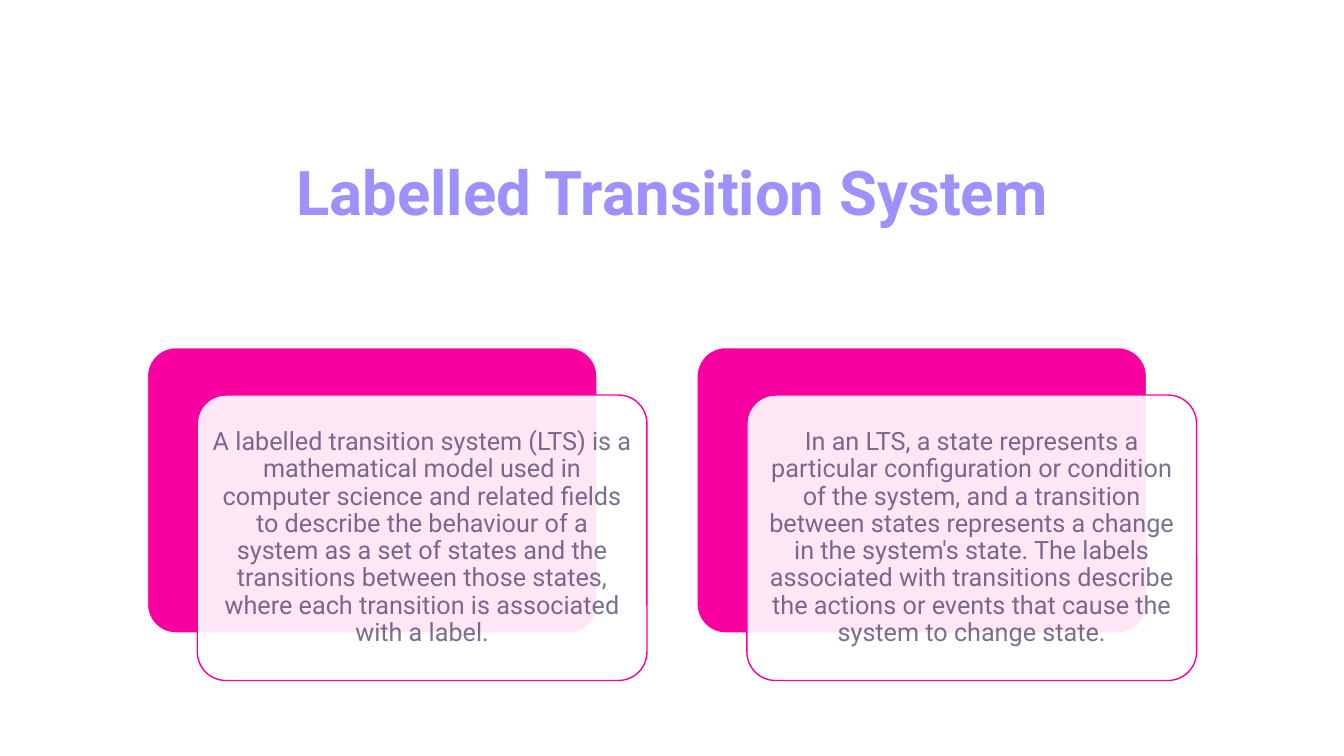
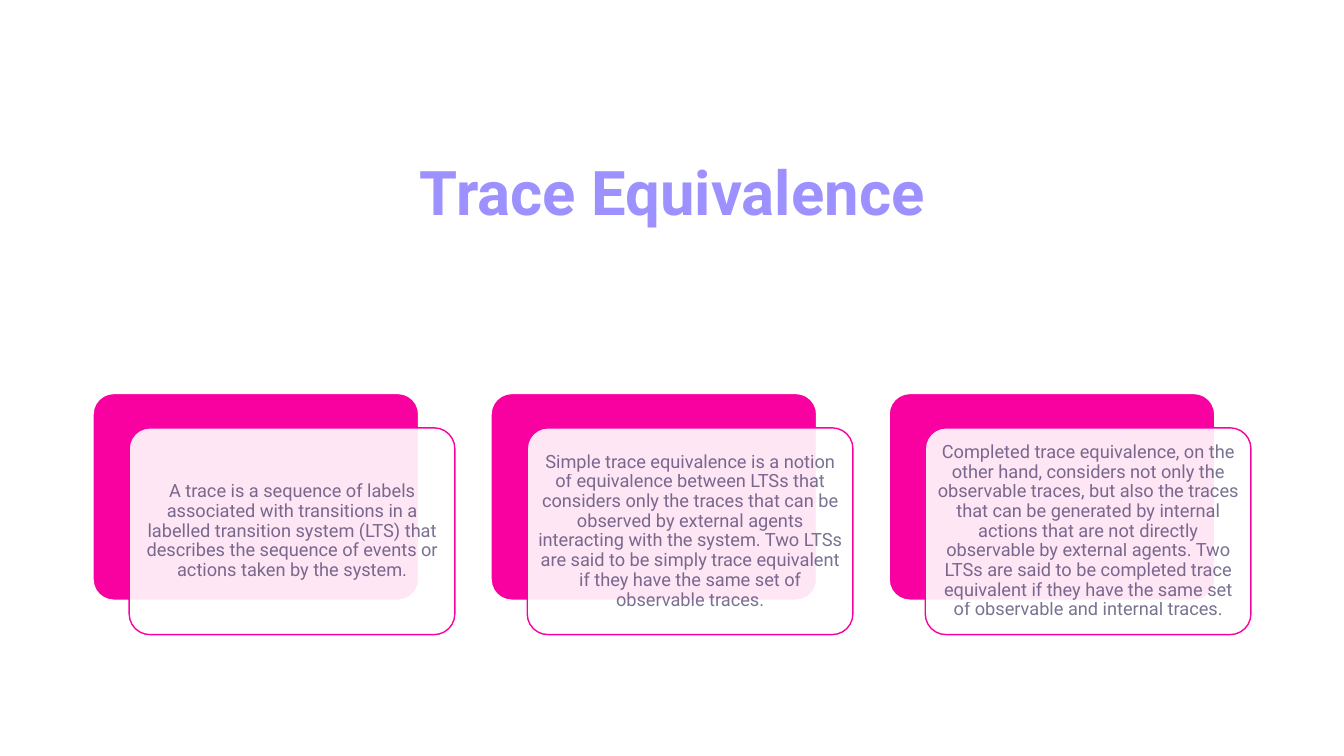
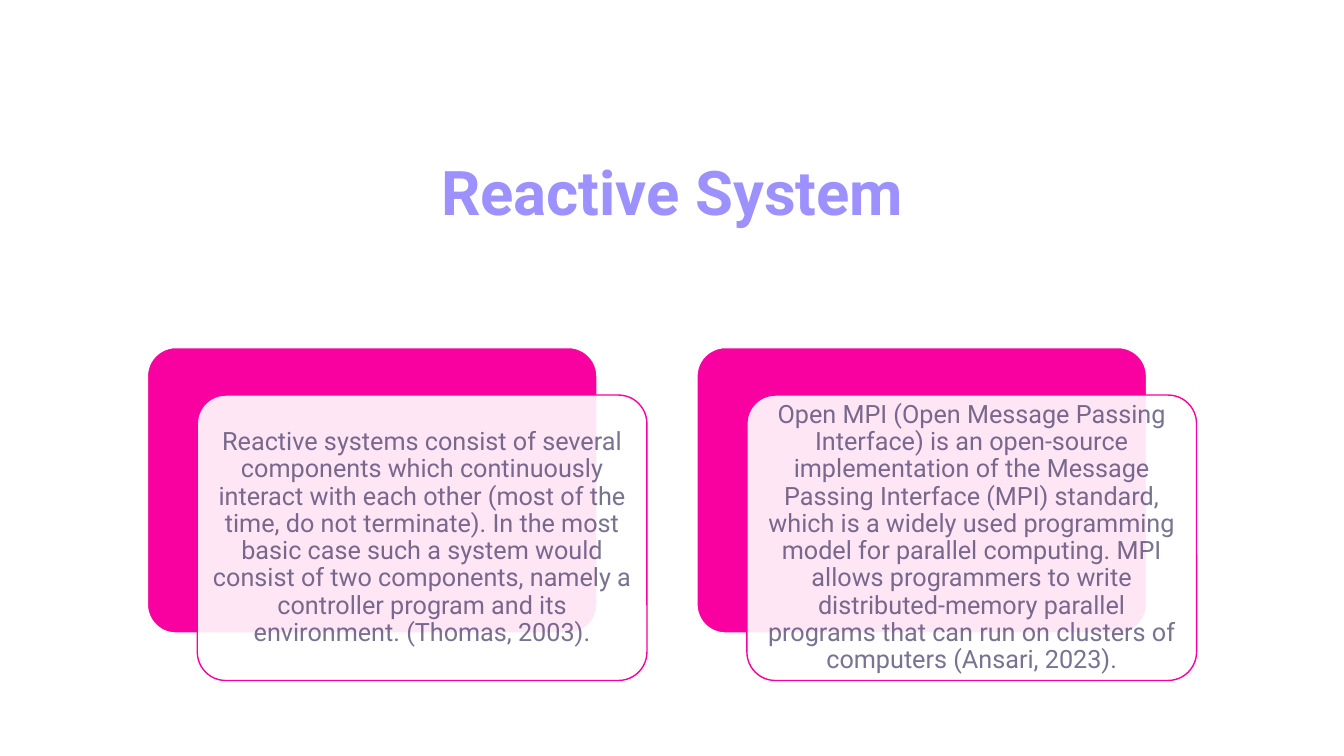
"""Build three slides of overlapping cards on transition systems."""
from lxml.etree import SubElement
from pptx import Presentation
from pptx.dml.color import RGBColor
from pptx.enum.shapes import MSO_SHAPE
from pptx.enum.text import MSO_ANCHOR, MSO_AUTO_SIZE, PP_ALIGN
from pptx.oxml.ns import qn
from pptx.util import Inches, Pt

SLIDE_WIDTH, SLIDE_HEIGHT = 13.33, 7.5
CARDS_MIDDLE = 5.1
FONT = "Roboto"
WHITE = RGBColor(0xFF, 0xFF, 0xFF)
PINK = RGBColor(0xF9, 0x00, 0xA0)
LAVENDER = RGBColor(0x9C, 0x91, 0xFE)
INDIGO = RGBColor(0x20, 0x14, 0x49)

WIDE = {"width": 4.46, "size": 18, "inset": 0.07}
NARROW = {"width": 3.23, "size": 13, "inset": 0.05}

SLIDES = [
    ("Labelled Transition System", WIDE, [
        "A labelled transition system (LTS) is a mathematical model used in computer science "
        "and related fields to describe the behaviour of a system as a set of states and the "
        "transitions between those states, where each transition is associated with a label.",
        "In an LTS, a state represents a particular configuration or condition of the system, "
        "and a transition between states represents a change in the system's state. The labels "
        "associated with transitions describe the actions or events that cause the system to "
        "change state.",
    ]),
    ("Trace Equivalence", NARROW, [
        "A trace is a sequence of labels associated with transitions in a labelled transition "
        "system (LTS) that describes the sequence of events or actions taken by the system.",
        "Simple trace equivalence is a notion of equivalence between LTSs that considers only "
        "the traces that can be observed by external agents interacting with the system. Two "
        "LTSs are said to be simply trace equivalent if they have the same set of observable "
        "traces.",
        "Completed trace equivalence, on the other hand, considers not only the observable "
        "traces, but also the traces that can be generated by internal actions that are not "
        "directly observable by external agents. Two LTSs are said to be completed trace "
        "equivalent if they have the same set of observable and internal traces.",
    ]),
    ("Reactive System", WIDE, [
        "Reactive systems consist of several components which continuously interact with each "
        "other (most of the time, do not terminate). In the most basic case such a system would "
        "consist of two components, namely a controller program and its environment. "
        "(Thomas, 2003).",
        "Open MPI (Open Message Passing Interface) is an open-source implementation of the "
        "Message Passing Interface (MPI) standard, which is a widely used programming model for "
        "parallel computing. MPI allows programmers to write distributed-memory parallel "
        "programs that can run on clusters of computers (Ansari, 2023).",
    ]),
]


def set_opacity(element, percent):
    color = element.find(".//" + qn("a:srgbClr"))
    SubElement(color, qn("a:alpha")).set("val", str(percent * 1000))


def write_centred(text_frame, text, size, color, bold=False):
    text_frame.word_wrap = True
    text_frame.auto_size = MSO_AUTO_SIZE.NONE
    text_frame.vertical_anchor = MSO_ANCHOR.MIDDLE
    paragraph = text_frame.paragraphs[0]
    paragraph.alignment = PP_ALIGN.CENTER
    paragraph.line_spacing = 0.9
    run = paragraph.add_run()
    run.text = text
    run.font.name = FONT
    run.font.size = Pt(size)
    run.font.bold = bold
    run.font.color.rgb = color


def add_panel(slide, left, top, width, height, fill, line):
    panel = slide.shapes.add_shape(
        MSO_SHAPE.ROUNDED_RECTANGLE, Inches(left), Inches(top), Inches(width), Inches(height))
    panel.adjustments[0] = 0.1
    panel.shadow.inherit = False
    panel.fill.solid()
    panel.fill.fore_color.rgb = fill
    panel.line.color.rgb = line
    panel.line.width = Pt(1)
    return panel


def add_cards(slide, texts, style):
    width = style["width"]
    height = width * 0.635
    shift_x = width / 9
    shift_y = shift_x * 0.95
    pitch = width + 2 * shift_x
    left = (SLIDE_WIDTH - (len(texts) - 1) * pitch - width - shift_x) / 2
    top = CARDS_MIDDLE - (height + shift_y) / 2
    for index, text in enumerate(texts):
        card_left = left + index * pitch
        add_panel(slide, card_left, top, width, height, PINK, WHITE)
        front = add_panel(slide, card_left + shift_x, top + shift_y, width, height, WHITE, PINK)
        set_opacity(front.element.spPr, 90)
        frame = front.text_frame
        frame.margin_left = frame.margin_right = Inches(style["inset"])
        frame.margin_top = frame.margin_bottom = Inches(style["inset"])
        write_centred(frame, text, style["size"], INDIGO)
        set_opacity(front.element.txBody, 60)


def main():
    presentation = Presentation()
    presentation.slide_width = Inches(SLIDE_WIDTH)
    presentation.slide_height = Inches(SLIDE_HEIGHT)
    layout = presentation.slide_layouts[5]
    title = layout.placeholders[0]
    title.left, title.top = Inches(0.92), Inches(0.67)
    title.width, title.height = Inches(11.5), Inches(2.54)
    for heading, style, texts in SLIDES:
        slide = presentation.slides.add_slide(layout)
        write_centred(slide.shapes.title.text_frame, heading, 44, LAVENDER, bold=True)
        add_cards(slide, texts, style)
    presentation.save("out.pptx")


if __name__ == "__main__":
    main()
